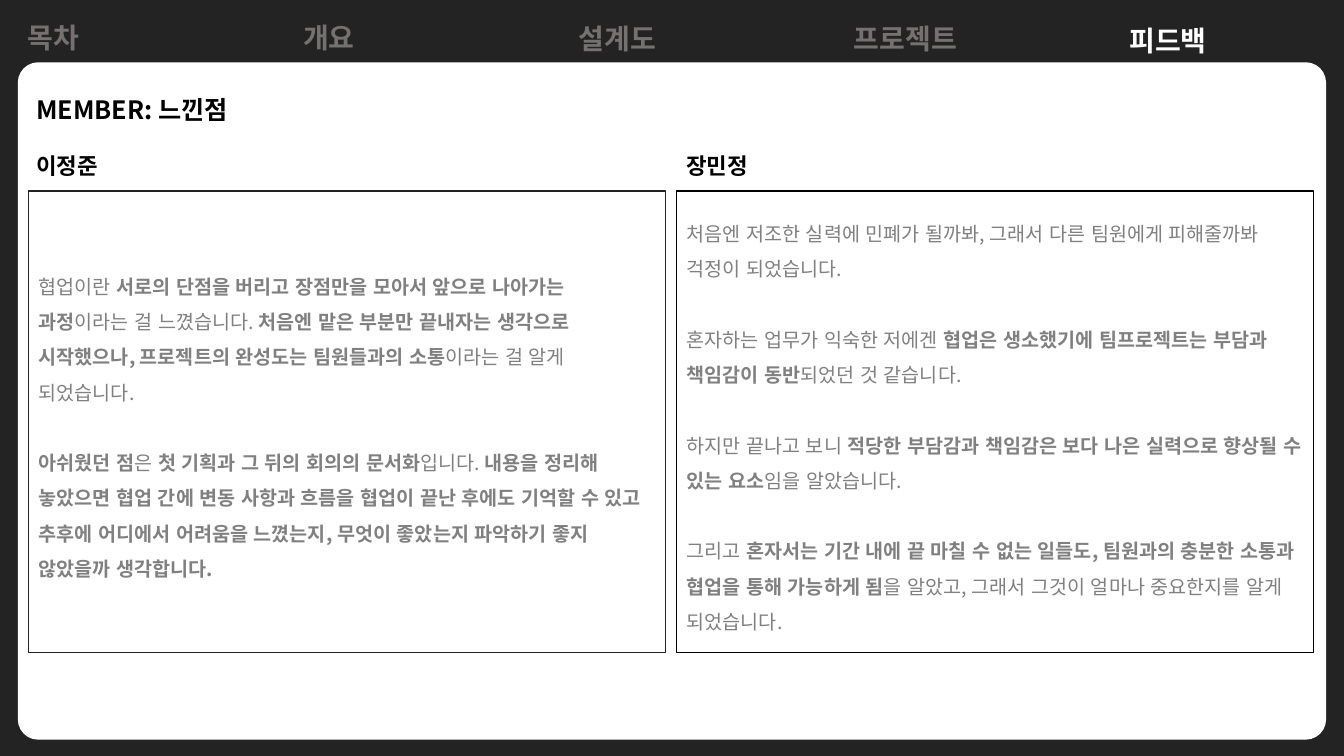
from dataclasses import dataclass

from lxml import etree
from pptx import Presentation
from pptx.dml.color import RGBColor
from pptx.enum import lang, shapes, text
from pptx.oxml import ns
from pptx.util import Cm, Pt

FONT = "Noto Sans CJK KR"
DARK = RGBColor(0x23, 0x23, 0x23)
MUTED = RGBColor(0x76, 0x71, 0x71)
GRAY = RGBColor(0x80, 0x80, 0x80)
WHITE = RGBColor(0xFF, 0xFF, 0xFF)
BLACK = RGBColor(0x00, 0x00, 0x00)


@dataclass
class Tab:
    label: str
    top: float
    color: RGBColor = MUTED


@dataclass
class Review:
    member: str
    name_left: float
    box_left: float
    border: RGBColor
    paragraphs: list[list[str]]  # runs alternate between regular and bold


TABS = [
    Tab("목차", 0.38),
    Tab("개요", 0.38),
    Tab("설계도", 0.41),
    Tab("프로젝트", 0.41),
    Tab("피드백", 0.46, WHITE),
]

REVIEWS = [
    Review("이정준", 0.66, 0.72, DARK, [
        ["협업이란 ",
         "서로의 단점을 버리고 장점만을 모아서 앞으로 나아가는 과정",
         "이라는 걸 느꼈습니다. ",
         "처음엔 맡은 부분만 끝내자는 생각으로 시작했으나, 프로젝트의 완성도는 팀원들과의 소통",
         "이라는 걸 알게 되었습니다."],
        ["",
         "아쉬웠던 점",
         "은 ",
         "첫 기획과 그 뒤의 회의의 문서화",
         "입니다. ",
         "내용을 정리해 놓았으면 협업 간에 변동 사항과 흐름을 협업이 끝난 후에도 기억할 수 있고 "
         "추후에 어디에서 어려움을 느꼈는지, 무엇이 좋았는지 파악하기 좋지 않았을까 생각합니다."],
    ]),
    Review("장민정", 17.04, 17.05, BLACK, [
        ["처음엔 저조한 실력에 민폐가 될까봐, 그래서 다른 팀원에게 피해줄까봐 걱정이 되었습니다."],
        ["혼자하는 업무가 익숙한 저에겐 ",
         "협업은 생소했기에 팀프로젝트는 부담과 책임감이 동반",
         "되었던 것 같습니다."],
        ["하지만 끝나고 보니 ",
         "적당한 부담감과 책임감은 보다 나은 실력으로 향상될 수 있는 요소",
         "임을 알았습니다."],
        ["그리고 ",
         "혼자서는 기간 내에 끝 마칠 수 없는 일들도, 팀원과의 충분한 소통과 협업을 통해 가능하게 됨",
         "을 알았고, 그래서 그것이 얼마나 중요한지를 알게 되었습니다."],
    ]),
]


def place(sp, left: float, top: float, width: float, height: float) -> None:
    sp.left, sp.top, sp.width, sp.height = Cm(left), Cm(top), Cm(width), Cm(height)


def format_frame(tf, anchor=text.MSO_ANCHOR.TOP) -> None:
    tf.word_wrap = True
    tf.auto_size = text.MSO_AUTO_SIZE.NONE
    tf.vertical_anchor = anchor


def format_paragraph(p, size: int, color: RGBColor, bold: bool | None = None,
                     spacing: float = 1.0, before: float = 0) -> None:
    p.alignment = text.PP_ALIGN.LEFT
    p.line_spacing = spacing
    p.space_before, p.space_after = Pt(before), Pt(0)
    font = p.font
    font.name, font.size, font.bold = FONT, Pt(size), bold
    font.language_id = lang.MSO_LANGUAGE_ID.KOREAN
    font.color.rgb = color
    # East Asian typeface without kerning, and no bullet or indent
    props = p._p.get_or_add_pPr()
    props.set("marL", "0")
    props.set("indent", "0")
    defaults = props.find(ns.qn("a:defRPr"))
    defaults.set("kern", "0")
    defaults.find(ns.qn("a:latin")).addnext(
        etree.Element(ns.qn("a:ea"), typeface=FONT))
    defaults.addprevious(etree.Element(ns.qn("a:buNone")))


def write_label(sp, label: str, size: int, color: RGBColor) -> None:
    tf = sp.text_frame
    format_frame(tf)
    tf.text = label
    format_paragraph(tf.paragraphs[0], size, color, bold=True)


def write_review(sp, review: Review) -> None:
    sp.fill.solid()
    sp.fill.fore_color.rgb = WHITE
    sp.line.color.rgb = review.border
    sp.line.width = Pt(1)
    tf = sp.text_frame
    format_frame(tf, text.MSO_ANCHOR.MIDDLE)
    for i, pieces in enumerate(review.paragraphs):
        p = tf.add_paragraph() if i else tf.paragraphs[0]
        format_paragraph(p, 14, GRAY, spacing=1.5, before=25.2 if i else 0)
        for j, piece in enumerate(pieces):
            if piece:
                r = p.add_run()
                r.text = piece
                r.font.bold = j % 2 == 1


def main() -> None:
    prs = Presentation()
    prs.slide_width, prs.slide_height = Cm(33.87), Cm(19.05)
    s = prs.slides.add_slide(prs.slide_layouts.get_by_name("Comparison"))
    s.background.fill.solid()
    s.background.fill.fore_color.rgb = DARK
    title, *bodies = s.placeholders

    # White panel, behind the placeholders
    panel = s.shapes.add_shape(shapes.MSO_SHAPE.ROUNDED_RECTANGLE,
                               Cm(0.45), Cm(1.57), Cm(32.97), Cm(17.07))
    panel.adjustments[0] = 0.03
    panel.shadow.inherit = False
    panel.fill.solid()
    panel.fill.fore_color.rgb = WHITE
    panel.line.fill.background()
    title._element.addprevious(panel._element)

    # Navigation tabs
    for i, tab in enumerate(TABS):
        sp = s.shapes.add_textbox(Cm(0.45 + 6.94 * i), Cm(tab.top), Cm(5.2), Cm(1.11))
        write_label(sp, tab.label, 20, tab.color)

    # Heading
    place(title, 0.66, 2.26, 12.12, 1.03)
    write_label(title, "MEMBER: 느낀점", 18, BLACK)

    # Member names and reviews
    for review, name, box in zip(REVIEWS, bodies[::2], bodies[1::2]):
        place(name, review.name_left, 3.71, 7.06, 0.94)
        write_label(name, review.member, 16, BLACK)
        place(box, review.box_left, 4.81, 16.05, 11.63)
        write_review(box, review)

    prs.save("out.pptx")


if __name__ == "__main__":
    main()
